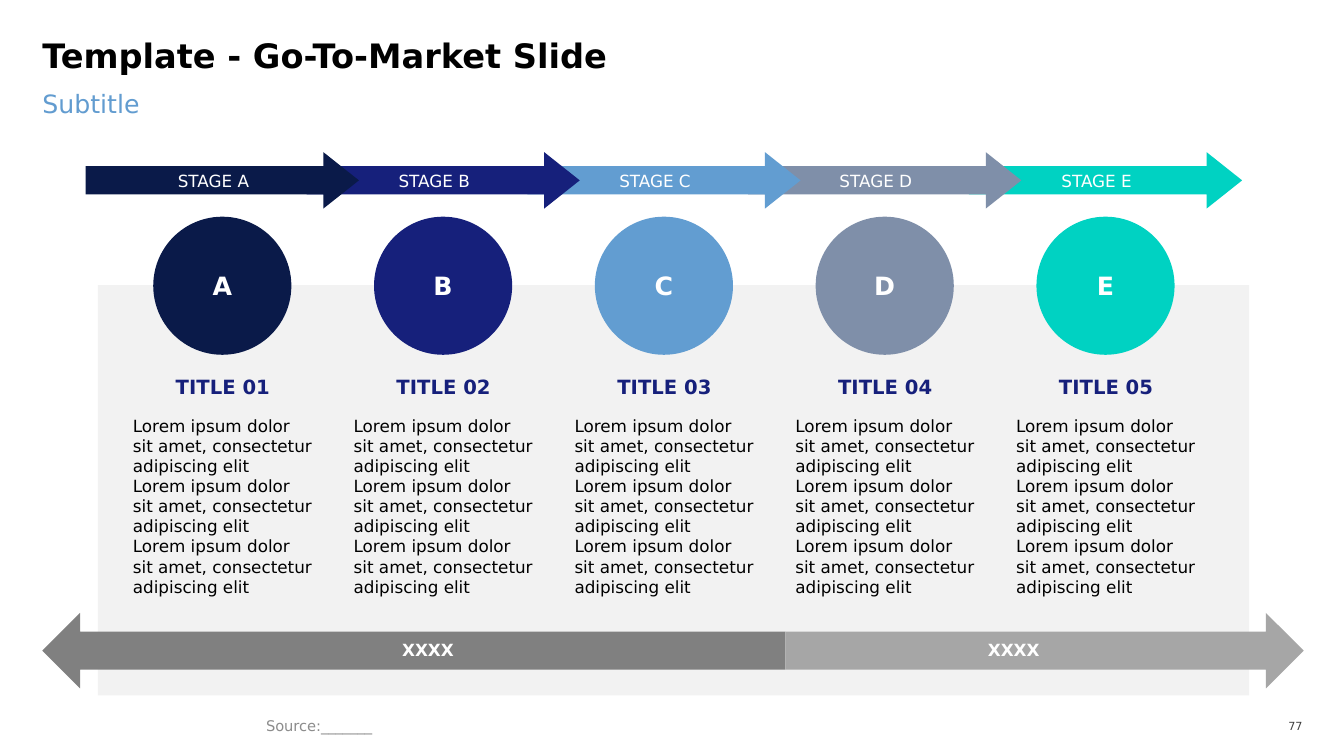
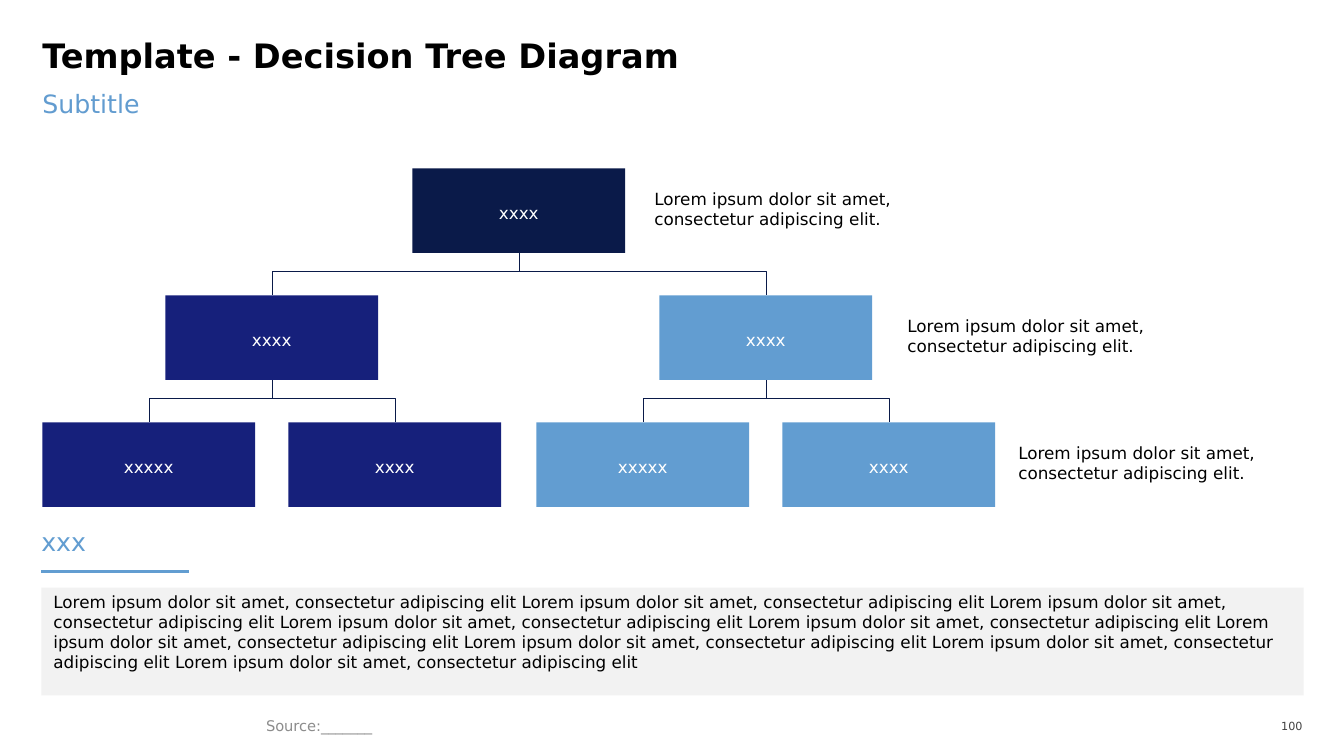
from dataclasses import dataclass

from lxml.etree import SubElement
from pptx import Presentation
from pptx.dml.color import RGBColor
from pptx.enum.shapes import MSO_CONNECTOR, MSO_SHAPE
from pptx.enum.text import MSO_ANCHOR, MSO_AUTO_SIZE, PP_ALIGN
from pptx.oxml.ns import qn
from pptx.util import Inches, Pt


@dataclass(frozen=True)
class Theme:
    """Colours, type sizes and font of the deck."""

    font: str = "DejaVu Sans"
    black: str = "000000"
    white: str = "FFFFFF"
    night: str = "0A1A49"
    navy: str = "16207B"
    sky: str = "629DD1"
    slate: str = "7F8FA9"
    teal: str = "00D2C2"
    subtitle: str = "629CD0"
    panel: str = "F2F2F2"
    dark_grey: str = "808080"
    light_grey: str = "A6A6A6"
    source: str = "8C8C8C"
    number: str = "404040"
    title_size: float = 24
    heading_size: float = 18
    label_size: float = 14
    body_size: float = 12
    source_size: float = 10.5
    number_size: float = 8


@dataclass(frozen=True)
class Box:
    """A rectangle on a slide, in inches."""

    left: float
    top: float
    width: float
    height: float

    def inner(self, left, top, width, height):
        """Return a box placed relative to this one."""
        return Box(self.left + left, self.top + top, width, height)

    def lengths(self):
        """Return left, top, width and height as lengths."""
        return [Inches(n) for n in (self.left, self.top, self.width, self.height)]


THEME = Theme()
PAGE = Box(0, 0, 13.33, 7.5)
DEFAULT_INSETS = (0.1, 0.05, 0.1, 0.05)
NO_INSETS = (0, 0, 0, 0)
PHRASE = "Lorem ipsum dolor sit amet, consectetur adipiscing elit"


def colour(code):
    """Turn a hexadecimal code into a colour."""
    return RGBColor.from_string(code)


def write(frame, text, size=THEME.body_size, ink=THEME.black, bold=False,
          align=PP_ALIGN.LEFT, anchor=MSO_ANCHOR.TOP, insets=DEFAULT_INSETS,
          wrap=True, spacing=None):
    """Fill a text frame, one paragraph for each line of the text."""
    frame.auto_size = MSO_AUTO_SIZE.NONE
    frame.word_wrap = wrap
    frame.vertical_anchor = anchor
    (frame.margin_left, frame.margin_top,
     frame.margin_right, frame.margin_bottom) = [Inches(n) for n in insets]
    for index, line in enumerate(text.split("\n")):
        para = frame.add_paragraph() if index else frame.paragraphs[0]
        para.alignment = align
        para.line_spacing = spacing
        span = para.add_run()
        span.text = line
        span.font.name = THEME.font
        span.font.size = Pt(size)
        span.font.bold = bold
        span.font.color.rgb = colour(ink)


def add_text(page, box, text, **style):
    """Add a text box."""
    write(page.shapes.add_textbox(*box.lengths()).text_frame, text, **style)


def add_label(page, box, text, **style):
    """Add a bold, centred label on one line."""
    add_text(page, box, text, bold=True, align=PP_ALIGN.CENTER,
             anchor=MSO_ANCHOR.MIDDLE, wrap=False, **style)


def add_block(page, kind, box, fill, text="", **style):
    """Add a flat filled shape with optional centred white text."""
    shape = page.shapes.add_shape(kind, *box.lengths())
    shape.shadow.inherit = False
    shape.fill.solid()
    shape.fill.fore_color.rgb = colour(fill)
    shape.line.fill.background()
    if text:
        centred = dict(ink=THEME.white, align=PP_ALIGN.CENTER,
                       anchor=MSO_ANCHOR.MIDDLE)
        write(shape.text_frame, text, **{**centred, **style})
    return shape


def finish_line(line, ink, weight):
    """Give a connector its colour and width, and no shadow."""
    line.line.color.rgb = colour(ink)
    line.line.width = Pt(weight)
    SubElement(line.element.spPr, qn("a:effectLst"))


def start_page(deck, box, title, number):
    """Add a slide with its title, subtitle, source and slide number."""
    page = deck.slides.add_slide(deck.slide_layouts[5])
    heading = page.shapes.title
    place = box.inner(0.42, 0.42, 12.49, 0.53)
    heading.left, heading.top, heading.width, heading.height = place.lengths()
    write(heading.text_frame, title, size=THEME.title_size, bold=True,
          insets=NO_INSETS, spacing=0.8)
    add_text(page, box.inner(0.42, 0.88, 12.49, 0.63), "Subtitle",
             size=THEME.heading_size, ink=THEME.subtitle, insets=NO_INSETS)
    add_text(page, box.inner(2.54, 7.07, 6.39, 0.26), "Source:_______",
             size=THEME.source_size, ink=THEME.source, anchor=MSO_ANCHOR.MIDDLE)
    add_text(page, box.inner(12.5, 7.09, 0.42, 0.23), number,
             size=THEME.number_size, ink=THEME.number, align=PP_ALIGN.RIGHT,
             anchor=MSO_ANCHOR.MIDDLE, insets=NO_INSETS)
    return page


def add_stage(page, box, letter, number, fill):
    """Add one stage: arrow, lettered circle, title and text."""
    arrow = add_block(page, MSO_SHAPE.RIGHT_ARROW, box.inner(0, 0, 2.71, 0.56),
                      fill, f"STAGE {letter}")
    arrow.adjustments[0], arrow.adjustments[1] = 0.5, 0.63
    add_block(page, MSO_SHAPE.OVAL, box.inner(0.67, 0.64, 1.37, 1.37), fill,
              letter, size=THEME.heading_size, bold=True)
    add_label(page, box.inner(0.77, 2.16, 1.18, 0.34), f"TITLE {number:02}",
              size=THEME.label_size, ink=THEME.navy)
    add_text(page, box.inner(0.37, 2.56, 2, 1.92), "\n".join([PHRASE] * 3))


def add_stages(page, box):
    """Add the stages from right to left, so each arrow overlaps the next."""
    fills = (THEME.night, THEME.navy, THEME.sky, THEME.slate, THEME.teal)
    pitch = 2.19
    for index, (letter, fill) in reversed(list(enumerate(zip("ABCDE", fills)))):
        add_stage(page, box.inner(index * pitch, 0, 2.71, box.height),
                  letter, index + 1, fill)


def add_split_arrow(page, box):
    """Add the two opposite arrows and their labels."""
    split = 7.37
    halves = (
        (MSO_SHAPE.LEFT_ARROW, 0, split, THEME.dark_grey, 3.47),
        (MSO_SHAPE.RIGHT_ARROW, split, box.width - split, THEME.light_grey, 9.28),
    )
    for kind, left, width, fill, label_left in halves:
        add_block(page, kind, box.inner(left, 0, width, box.height), fill)
        add_label(page, box.inner(label_left, 0.22, 0.71, 0.3), "XXXX",
                  ink=THEME.white)


def build_market_page(deck):
    """Build the go-to-market slide."""
    page = start_page(deck, PAGE, "Template - Go-To-Market Slide", "77")
    add_block(page, MSO_SHAPE.RECTANGLE, PAGE.inner(0.97, 2.83, 11.42, 4.07),
              THEME.panel)
    add_stages(page, PAGE.inner(0.85, 1.51, 11.47, 4.48))
    add_split_arrow(page, PAGE.inner(0.42, 6.08, 12.51, 0.75))


def join_nodes(page, parent, child):
    """Join a parent's bottom to a child's top with an elbow."""
    line = page.shapes.add_connector(MSO_CONNECTOR.ELBOW, 0, 0, 0, 0)
    line.begin_connect(parent, 2)
    line.end_connect(child, 0)
    rightward = line.begin_x < line.end_x
    center_x = line.left + line.width // 2
    center_y = line.top + line.height // 2
    line.width, line.height = line.height, line.width
    line.left = center_x - line.width // 2
    line.top = center_y - line.height // 2
    frame = line.element.spPr.find(qn("a:xfrm"))
    frame.set("rot", "16200000" if rightward else "5400000")
    frame.set("flipH", "1" if rightward else "0")
    guides = line.element.spPr.find(qn("a:prstGeom")).find(qn("a:avLst"))
    SubElement(guides, qn("a:gd"), name="adj1", fmla="val 43000")
    finish_line(line, THEME.night, 0.25)


def add_node(page, box, node, spreads, pitch):
    """Add a node and, below it, its children spread about its centre."""
    text, fill, children = node
    shape = add_block(page, MSO_SHAPE.RECTANGLE, box, fill, text,
                      insets=(0.08, 0.16, 0.08, 0.16), spacing=Pt(17.5))
    for side, child in zip((-1, 1), children):
        place = box.inner(side * spreads[0], pitch, box.width, box.height)
        join_nodes(page, shape, add_node(page, place, child, spreads[1:], pitch))
    return shape


def add_tree(page, box):
    """Add the decision tree with a note beside each level."""
    pitch, node_height = 1.26, 0.84
    branches = [("xxxx", fill, [("xxxxx", fill, []), ("xxxx", fill, [])])
                for fill in (THEME.navy, THEME.sky)]
    add_node(page, box.inner(3.67, 0, 2.11, node_height),
             ("xxxx", THEME.night, branches), (2.45, 1.22), pitch)
    for level, left in enumerate((6.07, 8.58, 9.68)):
        add_text(page, box.inner(left, level * pitch, 2.43, node_height),
                 PHRASE + ".", insets=(0, 0.2, 0, 0.05))


def add_summary(page, box):
    """Add the heading, its rule and the grey text panel."""
    add_text(page, box.inner(0, 0, 2.93, 0.34), "xxx", size=THEME.heading_size,
             ink=THEME.sky, anchor=MSO_ANCHOR.BOTTOM, insets=NO_INSETS)
    left, top, width, _ = box.inner(0, 0.49, 1.46, 0).lengths()
    rule = page.shapes.add_connector(MSO_CONNECTOR.STRAIGHT, left, top,
                                     left + width, top)
    finish_line(rule, THEME.sky, 2.25)
    add_block(page, MSO_SHAPE.RECTANGLE, box.inner(0, 0.65, box.width, 1.07),
              THEME.panel, " ".join([PHRASE] * 9), ink=THEME.black,
              align=PP_ALIGN.LEFT, anchor=MSO_ANCHOR.TOP,
              insets=(0.12, 0.04, 0.08, 0.08))


def build_tree_page(deck):
    """Build the decision tree slide."""
    page = start_page(deck, PAGE, "Template - Decision Tree Diagram", "100")
    add_tree(page, PAGE.inner(0.42, 1.67, 12.11, 3.36))
    add_summary(page, PAGE.inner(0.41, 5.18, 12.52, 1.72))


def main():
    """Build and save the deck."""
    deck = Presentation()
    deck.slide_width, deck.slide_height = PAGE.lengths()[2:]
    build_market_page(deck)
    build_tree_page(deck)
    deck.save("out.pptx")


if __name__ == "__main__":
    main()
